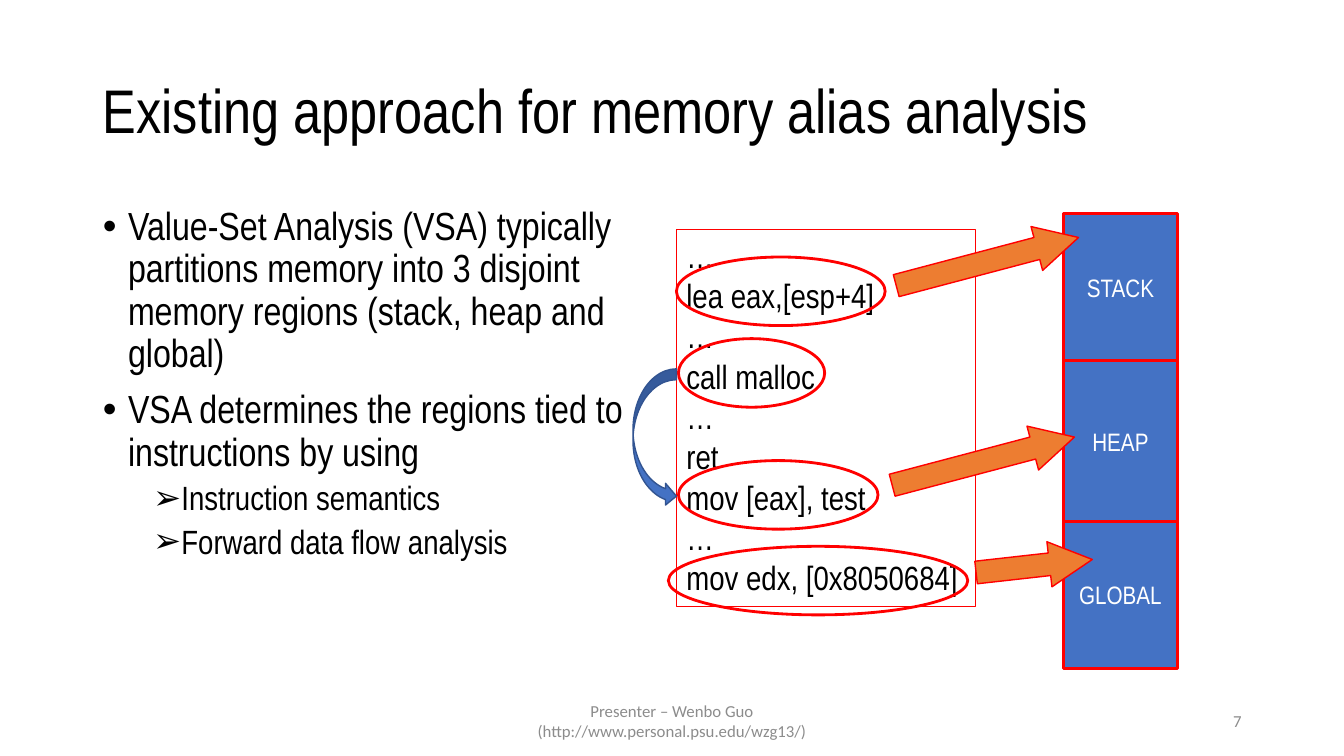
from pptx import Presentation, util as u
from pptx.dml.color import RGBColor
from pptx.enum import shapes, text
from pptx.oxml import parse_xml
from pptx.oxml.ns import nsdecls

WIDTH, HEIGHT = u.Inches(13.333), u.Inches(7.5)
NARROW, PLAIN = "Arial Narrow", "Calibri"
BLACK, WHITE, GREY = "000000", "FFFFFF", "8C8C8C"
RED, BLUE, NAVY, ORANGE = "FF0000", "4472C4", "325491", "ED7D31"
SHAPE = shapes.MSO_SHAPE
MIDDLE, TOP = text.MSO_ANCHOR.MIDDLE, text.MSO_ANCHOR.TOP
LEFT, CENTER, RIGHT = text.PP_ALIGN.LEFT, text.PP_ALIGN.CENTER, text.PP_ALIGN.RIGHT

CODE = ["…", "lea eax,[esp+4]", "…", "call malloc", "…", "ret",
        "mov [eax], test", "…", "mov edx, [0x8050684]"]
BULLETS = [
    (0, "Value-Set Analysis (VSA) typically partitions memory into 3 disjoint "
        "memory regions (stack, heap and global)"),
    (0, "VSA determines the regions tied to instructions by using"),
    (1, "Instruction semantics"),
    (1, "Forward data flow analysis"),
]
# Bullet character, left margin, space before and text size of each level
LEVELS = [("•", 0.25, 10, 28), ("➢", 0.75, 5, 24)]


def color(value):
    return RGBColor.from_string(value)


def grid(left, top, width, height):
    """Turn percentages of the slide into lengths."""
    return (int(WIDTH * left / 100), int(HEIGHT * top / 100),
            int(WIDTH * width / 100), int(HEIGHT * height / 100))


def move(box, area):
    box.left, box.top, box.width, box.height = grid(*area)


def write(box, lines, size, font, ink, align=LEFT, anchor=MIDDLE):
    frame = box.text_frame
    frame.text = "\n".join(lines)
    frame.word_wrap = True
    frame.auto_size = text.MSO_AUTO_SIZE.NONE
    frame.vertical_anchor = anchor
    for para in frame.paragraphs:
        para.alignment = align
        for span in para.runs:
            span.font.size = u.Pt(size)
            span.font.name = font
            span.font.color.rgb = color(ink)


def add_figure(page, kind, area, line, weight, fill=None, turn=0):
    box = page.shapes.add_shape(kind, *grid(*area))
    box.shadow.inherit = False
    box.rotation = turn
    box.line.color.rgb = color(line)
    box.line.width = u.Pt(weight)
    if fill:
        box.fill.solid()
        box.fill.fore_color.rgb = color(fill)
    else:
        box.fill.background()
    return box


def add_title(page, words):
    title = page.shapes.title
    move(title, (6.9, 5.33, 86.25, 19.33))
    write(title, [words], 44, NARROW, BLACK)
    title.text_frame.paragraphs[0].line_spacing = 0.9


def add_bullets(page, items):
    body = page.placeholders[1]
    move(body, (6.9, 26.67, 42.5, 63.47))
    write(body, [words for _, words in items], 28, NARROW, BLACK, anchor=TOP)
    for index, (level, _) in enumerate(items):
        mark, margin, gap, size = LEVELS[level]
        para = body.text_frame.paragraphs[index]
        para.level = level
        para.line_spacing = 0.9
        para.space_before = u.Pt(gap if index else 0)
        properties = para._p.get_or_add_pPr()
        properties.set("marL", str(u.Inches(margin)))
        properties.set("indent", str(u.Inches(-0.25)))
        for xml in (f'<a:buFont {nsdecls("a")} typeface="Arial"/>',
                    f'<a:buChar {nsdecls("a")} char="{mark}"/>'):
            properties.append(parse_xml(xml))
        para.runs[0].font.size = u.Pt(size)


def add_regions(page):
    top = 28.27
    for name, height in (("STACK", 19.47), ("HEAP", 21.2), ("GLOBAL", 19.47)):
        region = add_figure(page, SHAPE.RECTANGLE, (79.13, top, 8.48, height), RED, 2, BLUE)
        write(region, [name], 18, NARROW, WHITE, CENTER)
        top += height


def add_code(page):
    listing = add_figure(page, SHAPE.RECTANGLE, (50.33, 30.4, 22.28, 49.87), RED, 0.75)
    write(listing, CODE, 24, NARROW, BLACK, anchor=TOP)


def add_marks(page):
    # Rings around the instructions that touch memory
    for left, top, width in ((50.33, 34, 15.53), (50.48, 44.8, 10.88),
                             (50.48, 60.93, 14.85), (49.73, 72.27, 22.28)):
        add_figure(page, SHAPE.OVAL, (left, top, width, 9.07), RED, 2)
    # Arrows from instructions to regions
    for left, top, width, turn in ((66.45, 31.6, 14.03, -14.8),
                                   (66.15, 58, 14.03, -14.8),
                                   (72.6, 71.87, 8.7, -6.4)):
        arrow = add_figure(page, SHAPE.RIGHT_ARROW, (left, top, width, 6), RED, 1, ORANGE, turn)
        arrow.adjustments[1] = 0.95
    # Data flow from the allocation to its use
    add_figure(page, SHAPE.CURVED_RIGHT_ARROW, (47.1, 48.8, 3.23, 18.27), NAVY, 1, BLUE)


def add_footer(page, lines, left, width, align):
    box = page.shapes.add_textbox(*grid(left, 92.67, width, 5.33))
    write(box, lines, 12, PLAIN, GREY, align)


def main():
    deck = Presentation()
    deck.slide_width, deck.slide_height = WIDTH, HEIGHT
    page = deck.slides.add_slide(deck.slide_layouts[1])
    add_title(page, "Existing approach for memory alias analysis")
    add_bullets(page, BULLETS)
    add_regions(page)
    add_code(page)
    add_marks(page)
    add_footer(page, ["Presenter – Wenbo Guo", "(http://www.personal.psu.edu/wzg13/)"],
               33.13, 33.75, CENTER)
    add_footer(page, ["7"], 70.63, 22.5, RIGHT)
    deck.save("out.pptx")


if __name__ == "__main__":
    main()
